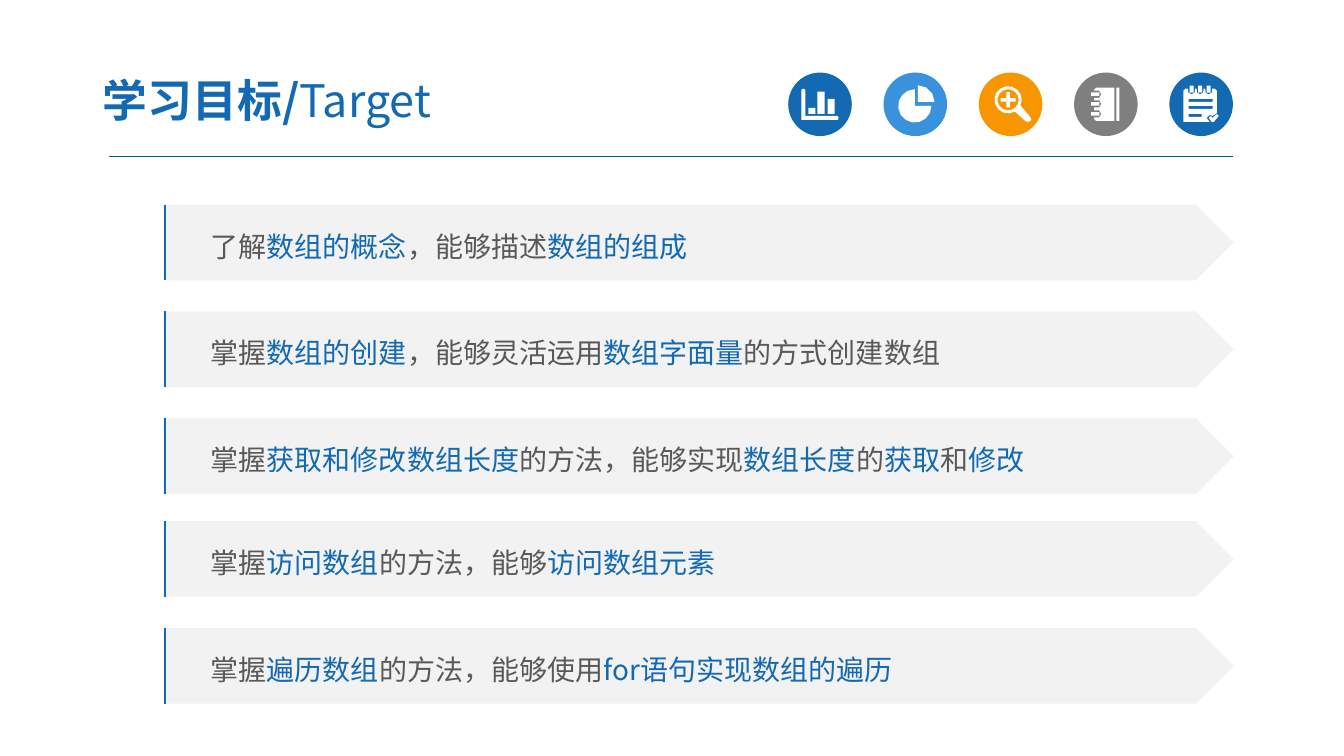
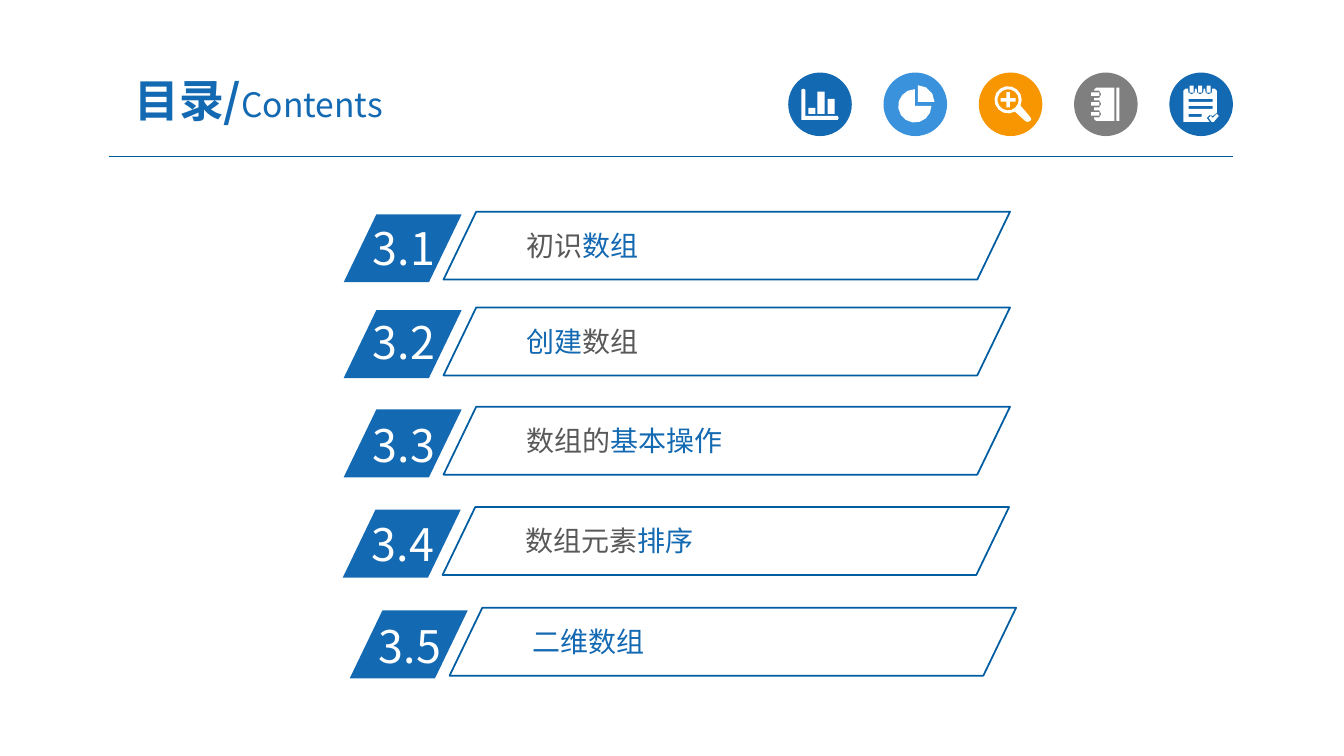
"""Build the learning-target and contents slides of the array chapter."""
from dataclasses import dataclass
from math import cos, radians, sin
from typing import NamedTuple

from lxml import etree
from pptx import Presentation
from pptx.dml.color import RGBColor
from pptx.enum.shapes import MSO_CONNECTOR, MSO_SHAPE
from pptx.enum.text import MSO_ANCHOR, PP_ALIGN
from pptx.oxml.ns import qn
from pptx.util import Inches, Pt

WIDTH, HEIGHT = Inches(40 / 3), Inches(7.5)
FONT = "Noto Sans CJK SC"
BLUE = RGBColor(0x13, 0x69, 0xB2)
SKY = RGBColor(0x39, 0x92, 0xDB)
ORANGE = RGBColor(0xF7, 0x96, 0x00)
GRAY = RGBColor(0x7F, 0x7F, 0x7F)
TEXT = RGBColor(0x59, 0x59, 0x59)
BAND = RGBColor(0xF2, 0xF2, 0xF2)
RULE = RGBColor(0x00, 0x5B, 0x9E)
OUTLINE = RGBColor(0x00, 0x5D, 0xA2)
WHITE = RGBColor(0xFF, 0xFF, 0xFF)
BADGE_UNITS = 63
SLANT = 0.482

Contour = list[tuple[float, float]]


class Area(NamedTuple):
    """Place and size in percent of the slide."""
    left: float
    top: float
    width: float
    height: float

    def emu(self) -> tuple[int, int, int, int]:
        return (px(self.left), py(self.top), px(self.width), py(self.height))


class Span(NamedTuple):
    """A stretch of text in one format."""
    text: str
    size: float
    color: RGBColor
    bold: bool = False


class Insets(NamedTuple):
    """Text margins in percent of the slide, across and down."""
    across: float
    down: float


@dataclass(frozen=True)
class Badge:
    """A round badge and the contours of its glyph, in badge units."""
    color: RGBColor
    glyph: list[Contour]


@dataclass(frozen=True)
class Goal:
    """A learning goal; bars enclose the highlighted words."""
    top: float
    text: str


@dataclass(frozen=True)
class Chapter:
    """A contents row; bars enclose the highlighted words."""
    number: str
    text: str
    left: float
    top: float
    number_drop: float


def px(share: float) -> int:
    """Convert a percentage of the slide width to EMU."""
    return round(WIDTH * share / 100)


def py(share: float) -> int:
    """Convert a percentage of the slide height to EMU."""
    return round(HEIGHT * share / 100)


def arc(cx: float, cy: float, radius: float, start: int, end: int) -> Contour:
    """Return points along a clockwise arc, angles in degrees."""
    steps = (end - start) // 24
    angles = [radians(start + (end - start) * i / steps) for i in range(steps + 1)]
    return [(cx + radius * cos(a), cy + radius * sin(a)) for a in angles]


def box(left: float, top: float, right: float, bottom: float) -> Contour:
    """Return the corners of a rectangle."""
    return [(left, top), (right, top), (right, bottom), (left, bottom)]


def chart_glyph() -> list[Contour]:
    """Return an axis with three bars."""
    axis = [(13, 17), (15, 16), (17, 17), (17, 43), (49, 43), (50, 45), (49, 47), (13, 47)]
    return [axis] + [box(x, y, x + 7, 41) for x, y in [(20, 35), (29, 19), (39, 26)]]


def pie_glyph() -> list[Contour]:
    """Return a pie with one wedge pulled out."""
    return [[(34, 29)] + arc(34, 29, 16.5, 270, 360),
            [(31, 33)] + arc(31, 33, 16.5, 0, 270)]


def magnifier_glyph() -> list[Contour]:
    """Return a magnifier with a plus sign."""
    cx, cy, reach, half = 29, 27, 7.5, 1.7
    lens = arc(cx, cy, 13.5, 60, 385) + [(50, 43), (52, 46), (51, 48), (48, 49), (46, 48)]
    quarter = [(half, -reach), (half, -half), (reach, -half)]
    plus = []
    for _ in range(4):
        plus += [(cx + x, cy + y) for x, y in quarter]
        quarter = [(-y, x) for x, y in quarter]
    return [lens, arc(cx, cy, 10.5, 0, 360), plus]


def notebook_glyph() -> list[Contour]:
    """Return a ring-bound notebook."""
    rings = (21.5, 31, 41)
    body = [(40, 48), (22, 48), (20, 46)]
    for y in reversed(rings):
        body += [(20, y + 3.5), (25, y + 3.5), (27, y), (25, y - 3.5), (20, y - 3.5)]
    body += [(20, 17), (22, 15), (40, 15)]
    return [body, box(42, 15, 45, 48)] + [box(17, y - 1.75, 25, y + 1.75) for y in rings]


def notepad_glyph() -> list[Contour]:
    """Return a lined notepad with a check mark."""
    rings = (22, 30.5, 39)
    sheet = [(14, 18), (16, 16)]
    for x in rings:
        sheet += [(x - 3.5, 16), (x - 3, 20), (x, 21.5), (x + 3, 20), (x + 3.5, 16)]
    sheet += [(45, 16), (47, 18), (47, 40), (43, 43), (40, 42), (37, 45), (40, 49), (14, 49)]
    lines = [(26, 43), (33, 43), (41, 32)]
    check = [(39, 45), (41, 43), (43, 45), (47, 41), (49, 43), (44, 49), (42, 49)]
    return [sheet, check] + [box(x - 2, 13, x + 2, 20) for x in rings] + [
        box(19, y, right, y + 3) for y, right in lines]


BADGES = [
    Badge(BLUE, chart_glyph()),
    Badge(SKY, pie_glyph()),
    Badge(ORANGE, magnifier_glyph()),
    Badge(GRAY, notebook_glyph()),
    Badge(BLUE, notepad_glyph()),
]
GOALS = [
    Goal(27.07, "了解|数组的概念|，能够描述|数组的组成"),
    Goal(41.2, "掌握|数组的创建|，能够灵活运用|数组字面量|的方式创建数组"),
    Goal(55.33, "掌握|获取和修改数组长度|的方法，能够实现|数组长度|的|获取|和|修改"),
    Goal(68.93, "掌握|访问数组|的方法，能够|访问数组元素"),
    Goal(83.07, "掌握|遍历数组|的方法，能够使用|for语句实现数组的遍历"),
]
CHAPTERS = [
    Chapter("3.1", "初识|数组", 33, 28, 0.53),
    Chapter("3.2", "|创建|数组", 33, 40.67, 0.27),
    Chapter("3.3", "数组的|基本操作", 33, 53.8, 0.8),
    Chapter("3.4", "数组元素|排序", 32.93, 67.07, 0.67),
    Chapter("3.5", "|二维数组", 33.45, 80.4, 0.8),
]


def highlighted(text: str) -> list[Span]:
    """Split text at bars into alternating gray and blue spans."""
    return [Span(part, 20, (TEXT, BLUE)[i % 2])
            for i, part in enumerate(text.split("|")) if part]


def write(shape, spans: list[Span], insets: Insets, anchor=MSO_ANCHOR.TOP,
          align=PP_ALIGN.LEFT, spacing: float = 1.0) -> None:
    """Fill a shape with one paragraph of formatted spans."""
    frame = shape.text_frame
    frame.word_wrap = True
    frame.vertical_anchor = anchor
    frame.margin_left = frame.margin_right = px(insets.across)
    frame.margin_top = frame.margin_bottom = py(insets.down)
    paragraph = frame.paragraphs[0]
    paragraph.alignment = align
    paragraph.line_spacing = spacing
    for span in spans:
        run = paragraph.add_run()
        run.text = span.text
        run.font.name = FONT
        run.font.size = Pt(span.size)
        run.font.bold = span.bold
        run.font.color.rgb = span.color
        etree.SubElement(run.font._element, qn("a:ea"), typeface=FONT)


def paint(shape, fill: RGBColor | None, line: RGBColor | None = None) -> None:
    """Set fill and outline and drop the shadow."""
    shape.shadow.inherit = False
    if fill is None:
        shape.fill.background()
    else:
        shape.fill.solid()
        shape.fill.fore_color.rgb = fill
    if line is None:
        shape.line.fill.background()
    else:
        shape.line.color.rgb = line
        shape.line.width = Pt(1.25)


def draw_line(slide, start: tuple[float, float], end: tuple[float, float],
              color: RGBColor, weight: float) -> None:
    """Draw a straight line between two points in slide percent."""
    line = slide.shapes.add_connector(
        MSO_CONNECTOR.STRAIGHT, px(start[0]), py(start[1]), px(end[0]), py(end[1]))
    line.line.color.rgb = color
    line.line.width = Pt(weight)
    etree.SubElement(line._element.spPr, qn("a:effectLst"))


def draw_badge(slide, badge: Badge, area: Area) -> None:
    """Draw a badge disc and its white glyph."""
    left, top, width, height = area.emu()
    paint(slide.shapes.add_shape(MSO_SHAPE.OVAL, left, top, width, height), badge.color)
    unit = width / BADGE_UNITS
    contours = [[(round(left + x * unit), round(top + y * unit)) for x, y in contour]
                for contour in badge.glyph]
    builder = slide.shapes.build_freeform(*contours[0][0], scale=1.0)
    for i, contour in enumerate(contours):
        if i:
            builder.move_to(*contour[0])
        builder.add_line_segments(contour[1:], close=True)
    paint(builder.convert_to_shape(), WHITE)


def draw_header(slide, title: list[Span], area: Area, align) -> None:
    """Draw the rule, the badges and the title."""
    draw_line(slide, (8.1, 20.67), (91.73, 20.67), RULE, 0.75)
    for i, badge in enumerate(BADGES):
        draw_badge(slide, badge, Area(58.65 + 7.09 * i, 9.6, 4.73, 8.4))
    title_box = slide.shapes.add_textbox(*area.emu())
    write(title_box, title, Insets(0.98, 0.93), MSO_ANCHOR.MIDDLE, align)


def draw_goal(slide, goal: Goal) -> None:
    """Draw an arrow band with a blue edge."""
    area = Area(12.15, goal.top, 79.65, 10)
    band = slide.shapes.add_shape(MSO_SHAPE.PENTAGON, *area.emu())
    paint(band, BAND)
    write(band, highlighted(goal.text), Insets(3.53, 0.67), MSO_ANCHOR.MIDDLE, spacing=1.2)
    draw_line(slide, (12.26, goal.top + area.height), (12.26, goal.top), BLUE, 1.5)


def draw_slanted(slide, area: Area, fill: RGBColor | None, line: RGBColor | None) -> None:
    """Draw a parallelogram."""
    shape = slide.shapes.add_shape(MSO_SHAPE.PARALLELOGRAM, *area.emu())
    shape.adjustments[0] = SLANT
    paint(shape, fill, line)


def draw_chapter(slide, chapter: Chapter) -> None:
    """Draw a numbered tag and its outlined caption."""
    left, top = chapter.left, chapter.top
    draw_slanted(slide, Area(left - 7.43, top + 0.35, 8.78, 8.98), BLUE, None)
    number = slide.shapes.add_textbox(
        *Area(left - 6, top + chapter.number_drop, 8.4, 8.53).emu())
    write(number, [Span(chapter.number, 32, WHITE)], Insets(0.75, 0.67))
    caption = slide.shapes.add_textbox(*Area(left + 5.63, top + 1.67, 30.9, 5.47).emu())
    write(caption, highlighted(chapter.text), Insets(0.53, 0.53))
    draw_slanted(slide, Area(left, top, 42.15, 8.98), None, OUTLINE)


def main() -> None:
    """Build and save both slides."""
    deck = Presentation()
    deck.slide_width, deck.slide_height = WIDTH, HEIGHT
    blank = deck.slide_layouts[6]
    target = deck.slides.add_slide(blank)
    draw_header(target, [Span("学习目标/", 32, BLUE, True), Span("Target", 32, BLUE)],
                Area(6.68, 8.4, 39.15, 9.6), PP_ALIGN.LEFT)
    for goal in GOALS:
        draw_goal(target, goal)
    contents = deck.slides.add_slide(blank)
    draw_header(contents, [Span("目录/", 32, BLUE, True), Span("Contents", 24, BLUE)],
                Area(6.9, 8.4, 24.68, 9.6), PP_ALIGN.CENTER)
    for chapter in CHAPTERS:
        draw_chapter(contents, chapter)
    deck.save("out.pptx")


main()
